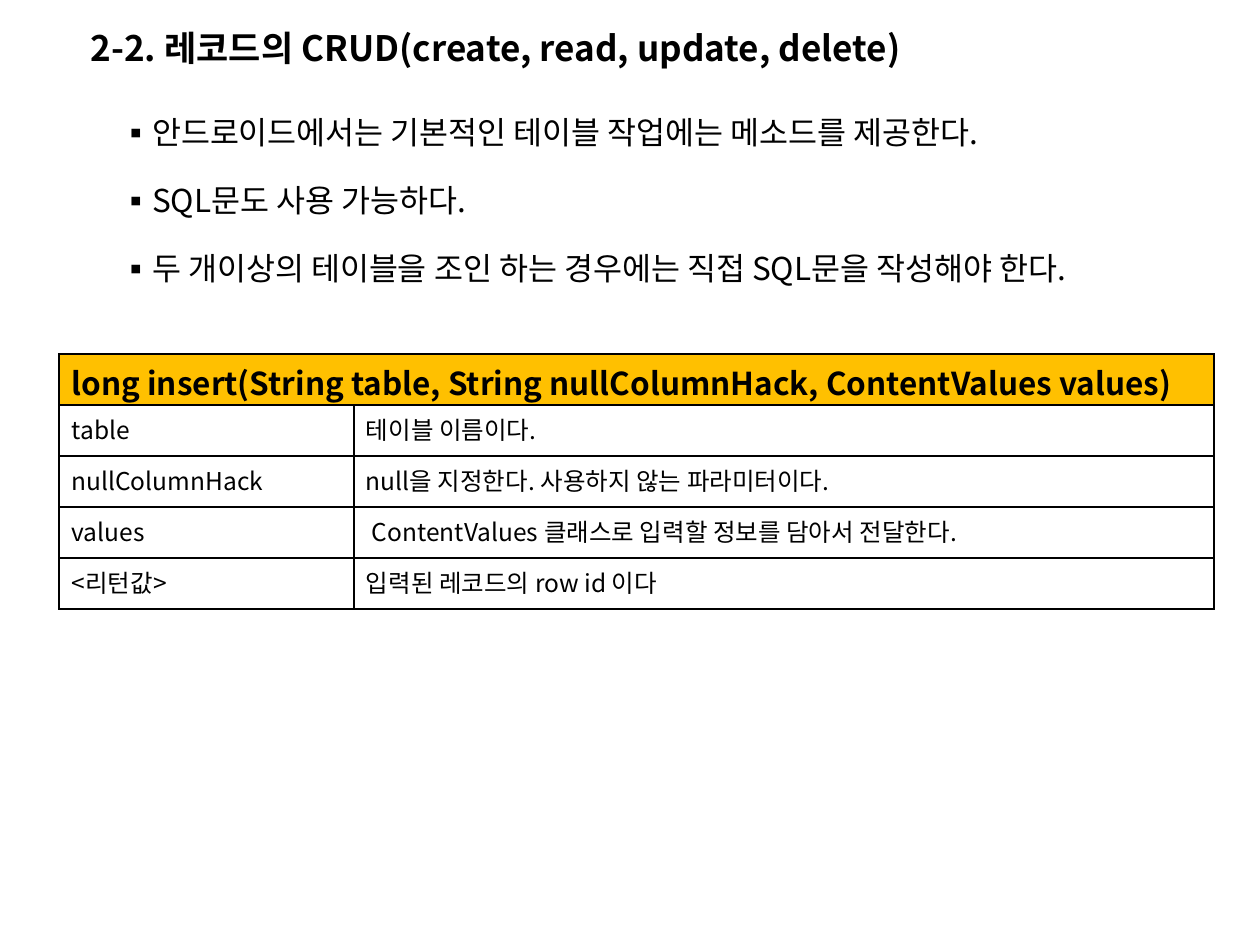
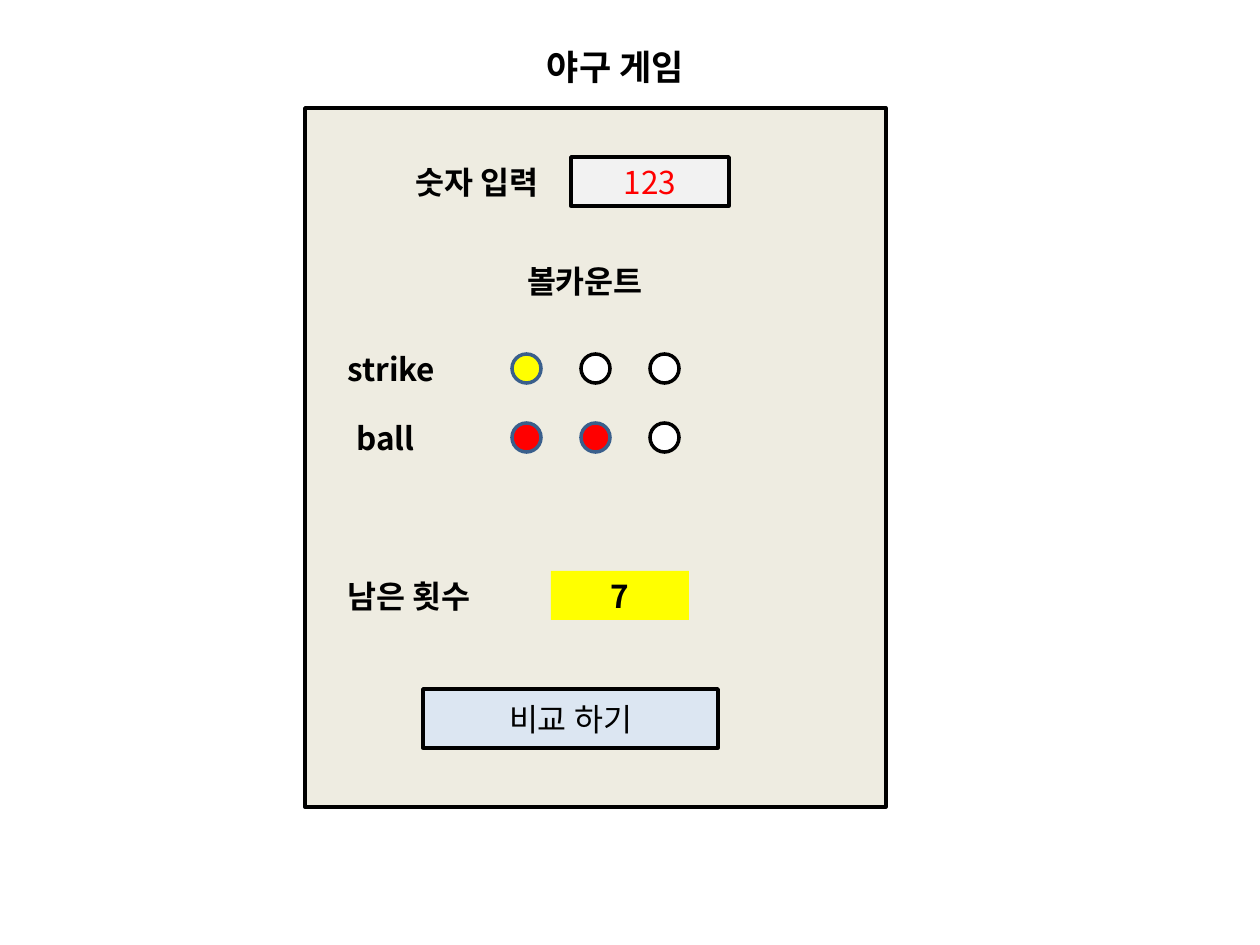
from dataclasses import dataclass

from lxml import etree
from pptx import Presentation
from pptx.dml.color import RGBColor
from pptx.enum.shapes import MSO_SHAPE
from pptx.enum.text import MSO_ANCHOR, MSO_AUTO_SIZE, PP_ALIGN
from pptx.oxml.ns import qn
from pptx.util import Emu, Pt

RECT, OVAL = MSO_SHAPE.RECTANGLE, MSO_SHAPE.OVAL
LEFT, CENTER = PP_ALIGN.LEFT, PP_ALIGN.CENTER
MIDDLE, TOP = MSO_ANCHOR.MIDDLE, MSO_ANCHOR.TOP
NO_AUTOFIT = MSO_AUTO_SIZE.NONE
PX_PER_INCH = 126
TITLE_ONLY, TITLE_AND_BODY = 5, 1


@dataclass(frozen=True)
class Theme:
    font: str = "Noto Sans CJK KR"
    ink: str = "000000"
    paper: str = "FFFFFF"
    header: str = "FFC000"
    panel: str = "EEECE1"
    field: str = "F2F2F2"
    button: str = "DCE6F2"
    yellow: str = "FFFF00"
    red: str = "FF0000"
    lit_edge: str = "3A5F8C"
    title_size: int = 20
    body_size: int = 18
    cell_size: int = 14
    edge: int = 2
    border: int = 1


def px(length):
    return Emu(round(length * 914400 / PX_PER_INCH))


def rgb(value):
    return RGBColor.from_string(value)


def format_text(paragraph, text, *, font, size, color, bold=False, align=LEFT):
    paragraph.alignment = align
    run = paragraph.add_run()
    run.text = text
    run.font.name = font
    run.font.size = Pt(size)
    run.font.bold = bold
    run.font.color.rgb = rgb(color)
    east_asian = etree.Element(qn("a:ea"), typeface=font)
    run.font._element.find(qn("a:latin")).addnext(east_asian)


class Deck:
    def __init__(self, theme):
        self.theme = theme
        self.presentation = Presentation()
        self.presentation.slide_width = px(1260)
        self.presentation.slide_height = px(945)
        self.slide = None

    def put_text(self, paragraph, text, **changes):
        style = {"font": self.theme.font, "size": self.theme.body_size,
                 "color": self.theme.ink}
        format_text(paragraph, text, **{**style, **changes})

    def frame(self, shape):
        frame = shape.text_frame
        frame.word_wrap = True
        frame.auto_size = NO_AUTOFIT
        frame.vertical_anchor = MIDDLE
        return frame

    def place(self, shape, box):
        shape.left, shape.top, shape.width, shape.height = map(px, box)

    def start(self, layout, title, box, align=LEFT):
        layouts = self.presentation.slide_layouts
        self.slide = self.presentation.slides.add_slide(layouts[layout])
        heading = self.slide.shapes.title
        self.place(heading, box)
        self.put_text(self.frame(heading).paragraphs[0], title, align=align,
                      size=self.theme.title_size, bold=True)

    def bullets(self, items, box, gap):
        body = self.slide.placeholders[1]
        self.place(body, box)
        frame = self.frame(body)
        for index, (text, indent) in enumerate(items):
            paragraph = frame.add_paragraph() if index else frame.paragraphs[0]
            properties = paragraph._p.get_or_add_pPr()
            properties.set("marL", str(px(indent)))
            properties.set("indent", str(-px(indent)))
            etree.SubElement(properties, qn("a:buFont"), typeface=self.theme.font)
            etree.SubElement(properties, qn("a:buChar"), char="▪")
            paragraph.space_before = px(gap) if index else Pt(0)
            self.put_text(paragraph, text)

    def label(self, text, box, align=LEFT):
        shape = self.slide.shapes.add_textbox(*map(px, box))
        self.put_text(self.frame(shape).paragraphs[0], text, bold=True, align=align)

    def shape(self, kind, box, fill, edge=None, text=None, **style):
        shape = self.slide.shapes.add_shape(kind, *map(px, box))
        shape.shadow.inherit = False
        shape.fill.solid()
        shape.fill.fore_color.rgb = rgb(fill)
        if edge:
            shape.line.color.rgb = rgb(edge)
            shape.line.width = Pt(self.theme.edge)
        else:
            shape.line.fill.background()
        if text:
            self.put_text(self.frame(shape).paragraphs[0], text, align=CENTER, **style)

    def lights(self, left, top, colors, count=3, step=69, size=29):
        for index in range(count):
            lit = index < len(colors)
            self.shape(OVAL, (left + index * step, top, size, size),
                       colors[index] if lit else self.theme.paper,
                       self.theme.lit_edge if lit else self.theme.ink)

    def cell(self, cell, fill):
        cell.fill.solid()
        cell.fill.fore_color.rgb = rgb(fill)
        cell.vertical_anchor = TOP
        properties = cell._tc.get_or_add_tcPr()
        for index, side in enumerate(("lnL", "lnR", "lnT", "lnB")):
            line = etree.Element(qn(f"a:{side}"), w=str(Pt(self.theme.border)))
            solid = etree.SubElement(line, qn("a:solidFill"))
            etree.SubElement(solid, qn("a:srgbClr"), val=self.theme.ink)
            properties.insert(index, line)

    def parameter_table(self, signature, rows, left, top, widths, row_height):
        count = len(rows) + 1
        table = self.slide.shapes.add_table(
            count, len(widths), px(left), px(top),
            px(sum(widths)), px(row_height * count)).table
        for column, width in zip(table.columns, widths):
            column.width = px(width)
        for row in table.rows:
            row.height = px(row_height)
        header = table.cell(0, 0)
        header.merge(table.cell(0, len(widths) - 1))
        for column in range(len(widths)):
            cell = table.cell(0, column)
            self.cell(cell, self.theme.header)
            cell.margin_top, cell.margin_bottom = px(5), 0
        self.put_text(header.text_frame.paragraphs[0], signature, bold=True)
        for row, (name, meaning, inset) in enumerate(rows, 1):
            for column, text in enumerate((name, meaning)):
                cell = table.cell(row, column)
                self.cell(cell, self.theme.paper)
                self.put_text(cell.text_frame.paragraphs[0], text,
                              size=self.theme.cell_size)
            cell.margin_left = px(inset)


def build_crud(deck):
    deck.start(TITLE_AND_BODY, "2-2. 레코드의 CRUD(create, read, update, delete)",
               (78, 20, 906, 55))
    deck.bullets([
        ("안드로이드에서는 기본적인 테이블 작업에는 메소드를 제공한다.", 26),
        ("SQL문도 사용 가능하다.", 23),
        ("두 개이상의 테이블을 조인 하는 경우에는 직접 SQL문을 작성해야 한다.", 18),
    ], (108, 98, 1123, 204), gap=30)
    deck.parameter_table(
        "long insert(String table, String nullColumnHack, ContentValues values)",
        [
            ("table", "테이블 이름이다.", 12),
            ("nullColumnHack", "null을 지정한다. 사용하지 않는 파라미터이다.", 12),
            ("values", "ContentValues 클래스로 입력할 정보를 담아서 전달한다.", 18),
            ("<리턴값>", "입력된 레코드의 row id 이다", 12),
        ], left=59, top=354, widths=(295, 860), row_height=51)


def build_baseball(deck):
    theme = deck.theme
    deck.start(TITLE_ONLY, "야구 게임", (374, 39, 483, 55), align=CENTER)
    deck.shape(RECT, (305, 108, 581, 699), theme.panel, theme.ink)
    deck.label("숫자 입력", (403, 157, 168, 50))
    deck.shape(RECT, (571, 157, 158, 49), theme.field, theme.ink, "123",
               color=theme.red)
    deck.label("볼카운트", (354, 256, 462, 50), align=CENTER)
    deck.label("strike", (335, 344, 168, 50))
    deck.lights(512, 354, [theme.yellow])
    deck.label("ball", (344, 413, 168, 50))
    deck.lights(512, 423, [theme.red, theme.red])
    deck.label("남은 횟수", (335, 571, 207, 50))
    deck.shape(RECT, (551, 571, 138, 49), theme.yellow, text="7", bold=True)
    deck.shape(RECT, (423, 689, 295, 59), theme.button, theme.ink, "비교 하기")


def main():
    deck = Deck(Theme())
    build_crud(deck)
    build_baseball(deck)
    deck.presentation.save("out.pptx")


if __name__ == "__main__":
    main()
